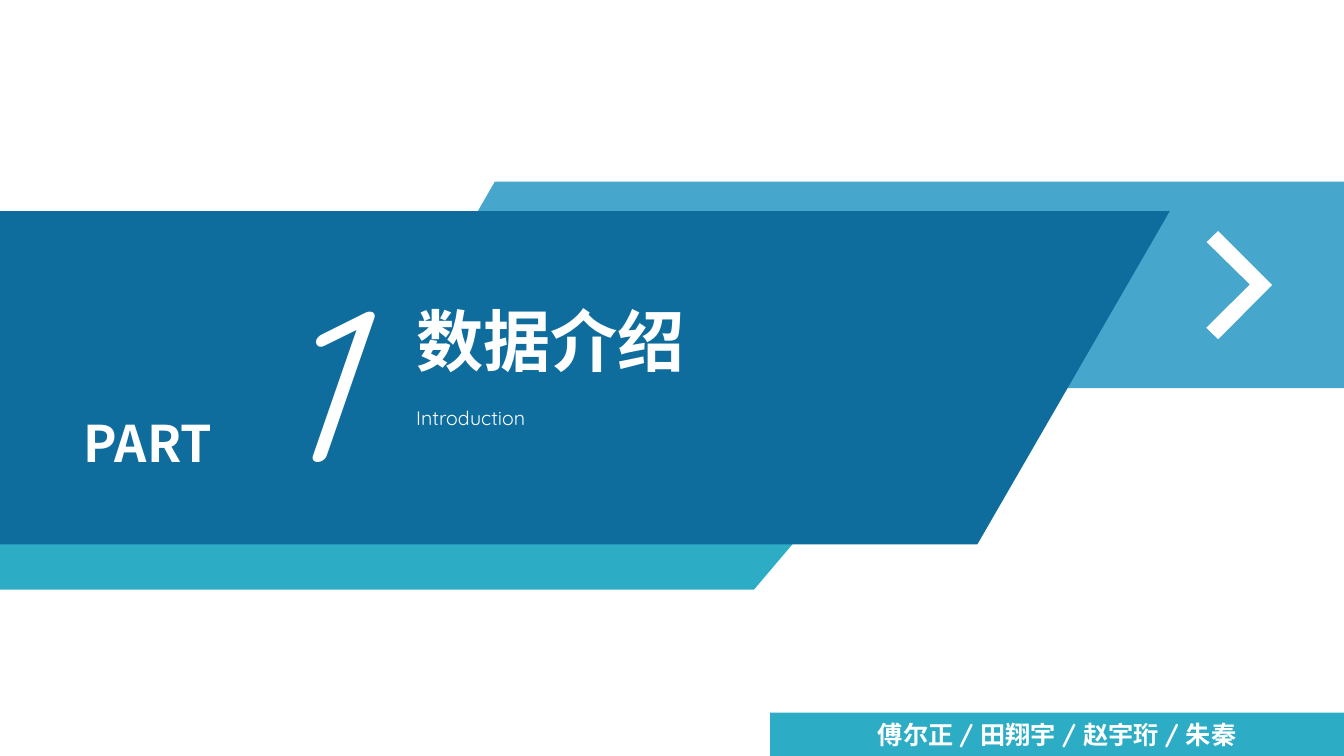
import pptx
import pptx.dml.color
import pptx.enum.shapes
import pptx.enum.text
import pptx.oxml
import pptx.oxml.ns
import pptx.util

Cm = pptx.util.Cm
RGBColor = pptx.dml.color.RGBColor
PP_ALIGN = pptx.enum.text.PP_ALIGN
MSO_ANCHOR = pptx.enum.text.MSO_ANCHOR

WHITE = RGBColor(0xFF, 0xFF, 0xFF)
SKY = RGBColor(0x46, 0xA6, 0xCC)
TEAL = RGBColor(0x2C, 0xAC, 0xC5)
DEEP_BLUE = RGBColor(0x0F, 0x6D, 0x9E)

LATIN_FONT = "Quicksand"
CHINESE_FONT = "Noto Sans CJK SC"
SLIDE_WIDTH = 33.87
SLIDE_HEIGHT = 19.05


def paint(shape, color):
    shape.shadow.inherit = False
    shape.fill.solid()
    shape.fill.fore_color.rgb = color
    shape.line.fill.background()


def add_polygon(slide, points, color):
    """Draw a closed outline through points given in centimetres."""
    corners = [(Cm(x), Cm(y)) for x, y in points]
    builder = slide.shapes.build_freeform(*corners[0])
    builder.add_line_segments(corners[1:], close=True)
    paint(builder.convert_to_shape(), color)


def write_text(frame, text, *, size, font=LATIN_FONT, bold=False, italic=False,
               align=PP_ALIGN.LEFT, spacing=None, wrap=True):
    frame.word_wrap = wrap
    paragraph = frame.paragraphs[0]
    paragraph.alignment = align
    if spacing:
        paragraph.line_spacing = spacing
    run = paragraph.add_run()
    run.text = text
    run.font.name = font
    run.font.size = pptx.util.Pt(size)
    run.font.bold = bold
    run.font.italic = italic
    run.font.color.rgb = WHITE
    east_asian = pptx.oxml.parse_xml(
        f'<a:ea {pptx.oxml.ns.nsdecls("a")} typeface="{CHINESE_FONT}"/>')
    run.font._element.append(east_asian)


def add_label(slide, text, left, top, width, height, **text_format):
    box = slide.shapes.add_textbox(Cm(left), Cm(top), Cm(width), Cm(height))
    write_text(box.text_frame, text, **text_format)


def add_author_bar(slide, authors):
    left, top = 19.41, 17.96
    bar = slide.shapes.add_shape(
        pptx.enum.shapes.MSO_SHAPE.RECTANGLE, Cm(left), Cm(top),
        Cm(SLIDE_WIDTH - left), Cm(SLIDE_HEIGHT - top))
    paint(bar, TEAL)
    frame = bar.text_frame
    frame.margin_left = frame.margin_right = 0
    frame.margin_top = frame.margin_bottom = 0
    frame.vertical_anchor = MSO_ANCHOR.MIDDLE
    write_text(frame, " / ".join(authors), size=18, bold=True,
               align=PP_ALIGN.CENTER)


def main():
    deck = pptx.Presentation()
    deck.slide_width = Cm(SLIDE_WIDTH)
    deck.slide_height = Cm(SLIDE_HEIGHT)
    slide = deck.slides.add_slide(deck.slide_layouts[6])

    add_polygon(slide, [(12.47, 4.58), (SLIDE_WIDTH, 4.58),
                        (SLIDE_WIDTH, 9.78), (9.47, 9.78)], SKY)
    add_polygon(slide, [(0, 9.65), (23.42, 9.65), (19, 14.86), (0, 14.86)], TEAL)
    add_polygon(slide, [(0, 5.32), (29.48, 5.32), (24.63, 13.72), (0, 13.72)],
                DEEP_BLUE)

    add_label(slide, "PART", 1.8, 10.26, 3.86, 1.8, size=36, font=CHINESE_FONT,
              bold=True, align=PP_ALIGN.CENTER)
    add_label(slide, "1", 4.7, 6.12, 6.2, 6.81, size=153.3, italic=True,
              align=PP_ALIGN.CENTER)
    add_label(slide, "数据介绍", 10.24, 7.42, 7.34, 2.31, size=48, bold=True,
              wrap=False)
    add_label(slide, "Introduction", 10.24, 10.03, 14.76, 0.84, size=14,
              spacing=1.14)

    add_polygon(slide, [(30.7, 5.82), (32.06, 7.18), (30.7, 8.55),
                        (30.4, 8.26), (31.5, 7.17), (30.41, 6.1)], WHITE)
    add_author_bar(slide, ["傅尔正", "田翔宇", "赵宇珩", "朱秦"])

    deck.save("out.pptx")


if __name__ == "__main__":
    main()
